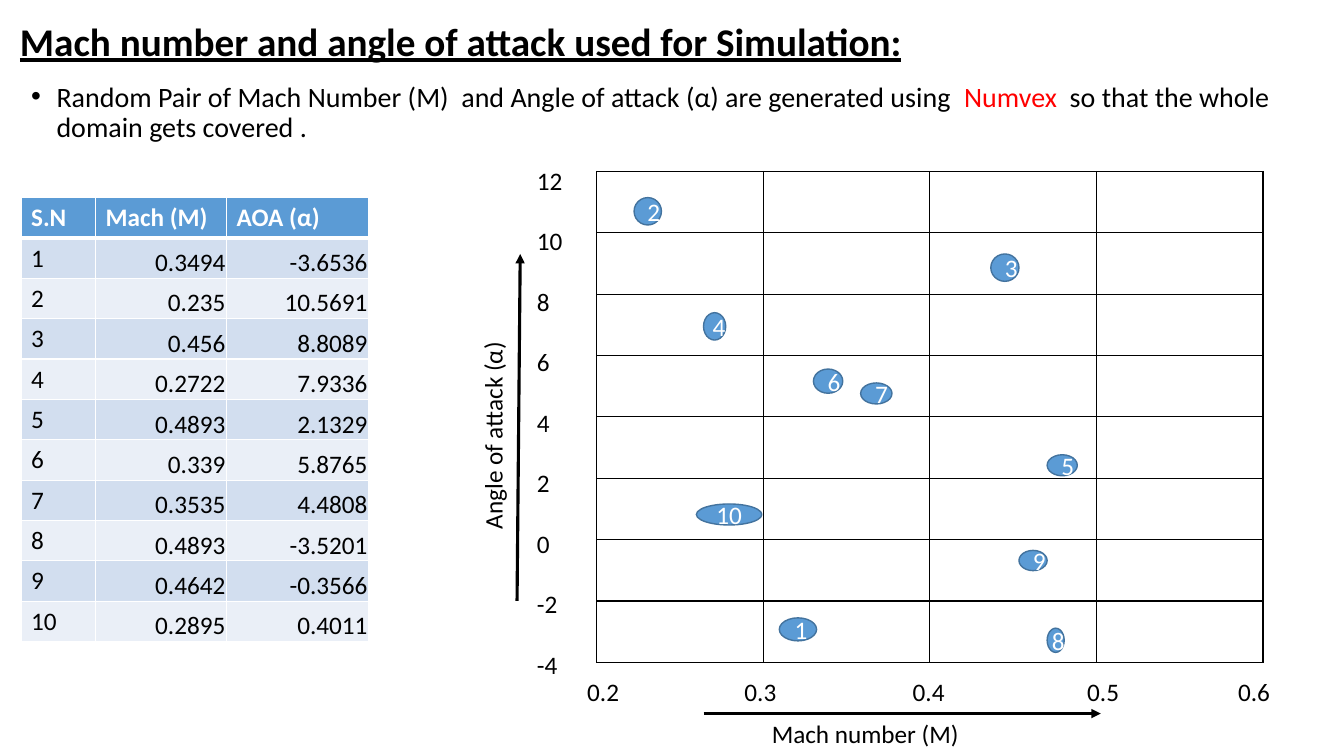
from lxml import etree
from pptx import Presentation
from pptx import util as u
from pptx.dml.color import RGBColor
from pptx.enum import shapes, text
from pptx.oxml.ns import qn

BLACK = RGBColor(0x00, 0x00, 0x00)
WHITE = RGBColor(0xFF, 0xFF, 0xFF)
RED = RGBColor(0xFF, 0x00, 0x00)
BLUE = RGBColor(0x5B, 0x9B, 0xD5)
BLUE_EDGE = RGBColor(0x43, 0x73, 0x9E)
BAND_DARK = RGBColor(0xD2, 0xDE, 0xEF)
BAND_LIGHT = RGBColor(0xEA, 0xEF, 0xF7)

TITLE = {"size": u.Pt(28), "bold": True, "underline": True}
BODY = {"size": u.Pt(20)}
LABEL = {"size": u.Pt(18)}
HEADER = {"size": u.Pt(18), "bold": True}
NUMBER_CELL = {"vertical_anchor": text.MSO_ANCHOR.BOTTOM, "margin_left": u.Cm(0.03),
               "margin_right": u.Cm(0.03), "margin_top": u.Cm(0.03), "margin_bottom": 0}

SAMPLES = [("0.3494", "-3.6536"), ("0.235", "10.5691"), ("0.456", "8.8089"),
           ("0.2722", "7.9336"), ("0.4893", "2.1329"), ("0.339", "5.8765"),
           ("0.3535", "4.4808"), ("0.4893", "-3.5201"), ("0.4642", "-0.3566"),
           ("0.2895", "0.4011")]
MARKERS = {1: (4.6, 11.25, 0.94, 0.58), 2: (0.94, 0.66, 0.69, 0.69),
           3: (9.93, 2.08, 0.71, 0.69), 4: (2.69, 3.56, 0.56, 0.69),
           5: (11.35, 7.14, 0.76, 0.53), 7: (6.65, 5.33, 0.79, 0.53),
           6: (5.46, 4.98, 0.74, 0.61), 8: (11.35, 11.51, 0.43, 0.61),
           9: (10.64, 9.55, 0.71, 0.51), 10: (2.51, 8.38, 1.65, 0.53)}


def set_all(obj, formats):
    """Set every attribute named in a dict of format values."""
    for name, value in formats.items():
        setattr(obj, name, value)


def add_run(p, words, formats, color=BLACK):
    """Append a formatted run to a paragraph."""
    r = p.add_run()
    r.text = words
    r.font.name = "Calibri"
    r.font.color.rgb = color
    set_all(r.font, formats)


def place(sp, box):
    """Move a shape to a box given in centimetres."""
    set_all(sp, dict(zip(("left", "top", "width", "height"), map(u.Cm, box))))


def add_borders(cell, color, bottom=1):
    """Draw the four borders of a cell."""
    tcPr = cell._tc.get_or_add_tcPr()
    for side, width in (("L", 1), ("R", 1), ("T", 1), ("B", bottom)):
        ln = etree.SubElement(tcPr, qn(f"a:ln{side}"), w=str(u.Pt(width)))
        fill = etree.SubElement(ln, qn("a:solidFill"))
        etree.SubElement(fill, qn("a:srgbClr"), val=str(color))


def add_label(slide, box, lines, rotation=0, space_after=0, tabs=()):
    """Add a text box with one paragraph for each line."""
    sp = slide.shapes.add_textbox(*map(u.Cm, box))
    sp.rotation = rotation
    tf = sp.text_frame
    tf.word_wrap = True
    for i, line in enumerate(lines):
        p = tf.add_paragraph() if i else tf.paragraphs[0]
        p.space_after = u.Pt(space_after)
        add_run(p, line, LABEL)
    if tabs:
        stops = etree.SubElement(tf.paragraphs[0]._p.get_or_add_pPr(), qn("a:tabLst"))
        for stop in tabs:
            etree.SubElement(stops, qn("a:tab"), pos=str(u.Cm(stop)), algn="l")


def add_arrow(slide, start, end):
    """Add a black arrow between two points."""
    arrow = slide.shapes.add_connector(shapes.MSO_CONNECTOR.STRAIGHT, *map(u.Cm, start + end))
    arrow.line.color.rgb = BLACK
    arrow.line.width = u.Pt(2.25)
    spPr = arrow._element.spPr
    etree.SubElement(spPr.find(qn("a:ln")), qn("a:tailEnd"), type="triangle")
    etree.SubElement(spPr, qn("a:effectLst"))


def build_title(slide, box):
    """Fill the title placeholder."""
    sp = slide.shapes.title
    place(sp, box)
    sp.text_frame.vertical_anchor = text.MSO_ANCHOR.MIDDLE
    p = sp.text_frame.paragraphs[0]
    set_all(p, {"alignment": text.PP_ALIGN.LEFT, "line_spacing": 0.9})
    add_run(p, "Mach number and angle of attack used for Simulation:", TITLE)


def build_body(slide, box):
    """Fill the body placeholder with its single bullet."""
    sp = slide.placeholders[1]
    place(sp, box)
    p = sp.text_frame.paragraphs[0]
    set_all(p, {"line_spacing": 0.9, "space_before": u.Pt(10)})
    pPr = p._p.get_or_add_pPr()
    pPr.set("marL", str(u.Cm(0.64)))
    pPr.set("indent", str(u.Cm(-0.64)))
    etree.SubElement(pPr, qn("a:buChar"), char="•")
    add_run(p, "Random Pair of Mach Number (M)  and Angle of attack (α) are generated using  ", BODY)
    add_run(p, "Numvex  ", BODY, RED)
    add_run(p, "so that the whole domain gets covered .", BODY)


def build_grid(slide, box):
    """Draw the empty grid of the domain."""
    table = slide.shapes.add_table(8, 4, *map(u.Cm, box)).table
    set_all(table, {"first_row": False, "horz_banding": False})
    for cell in table.iter_cells():
        add_borders(cell, BLACK)
        cell.fill.background()


def build_axes(slide, box):
    """Place the scales, axis names and arrows around the grid."""
    x, y = box[:2]
    add_label(slide, (x - 1.76, y - 0.28, 2.51, 14.1),
              [str(value) for value in range(12, -5, -2)], space_after=21.6)
    add_label(slide, (x - 0.49, y + 12.6, 19.3, 1.02),
              ["\t".join(f"0.{tenth}" for tenth in range(2, 7))],
              tabs=(3.96, 8.2, 12.6, 16.4))
    add_label(slide, (x - 6.81, y + 4.57, 8.38, 1.02), ["Angle of attack (α)"], rotation=270)
    add_label(slide, (x + 4.16, y + 13.66, 8.53, 1.02), ["Mach number (M)"])
    add_arrow(slide, (x - 2.01, y + 10.82), (x - 1.93, y + 2.08))
    add_arrow(slide, (x + 2.69, y + 13.66), (x + 12.7, y + 13.66))


def build_markers(slide, box):
    """Scatter the numbered samples over the grid."""
    for number, (dx, dy, w, h) in MARKERS.items():
        sp = slide.shapes.add_shape(shapes.MSO_SHAPE.FLOWCHART_CONNECTOR,
                                    *map(u.Cm, (box[0] + dx, box[1] + dy, w, h)))
        sp.shadow.inherit = False
        sp.fill.solid()
        sp.fill.fore_color.rgb = BLUE
        sp.line.color.rgb = BLUE_EDGE
        sp.line.width = u.Pt(1)
        p = sp.text_frame.paragraphs[0]
        p.alignment = text.PP_ALIGN.CENTER
        add_run(p, str(number), LABEL, WHITE)


def build_samples(slide, box):
    """Build the table of sampled pairs."""
    rows = [("S.N", "Mach (M)", "AOA (α)")]
    rows += [(str(i), *pair) for i, pair in enumerate(SAMPLES, 1)]
    table = slide.shapes.add_table(len(rows), 3, *map(u.Cm, box)).table
    for column, width in zip(table.columns, (1.88, 3.3, 3.58)):
        column.width = u.Cm(width)
    for i, row in enumerate(rows):
        for j, words in enumerate(row):
            cell = table.cell(i, j)
            add_borders(cell, WHITE, bottom=1 if i else 3)
            cell.fill.solid()
            cell.fill.fore_color.rgb = (BAND_DARK if i % 2 else BAND_LIGHT) if i else BLUE
            p = cell.text_frame.paragraphs[0]
            if i and j:
                set_all(cell, NUMBER_CELL)
                p.alignment = text.PP_ALIGN.RIGHT
            add_run(p, words, LABEL if i else HEADER, BLACK if i else WHITE)


def main():
    """Build and save the slide."""
    prs = Presentation()
    set_all(prs, {"slide_width": u.Cm(33.87), "slide_height": u.Cm(19.05)})
    slide = prs.slides.add_slide(prs.slide_layouts[1])
    grid = (15.04, 4.32, 16.79, 12.37)
    build_title(slide, (0.25, 0.25, 22.73, 1.7))
    build_body(slide, (0.53, 1.96, 33.32, 17.07))
    build_grid(slide, grid)
    build_axes(slide, grid)
    build_samples(slide, (0.53, 4.98, 8.76, 11.18))
    build_markers(slide, grid)
    prs.save("out.pptx")


if __name__ == "__main__":
    main()
